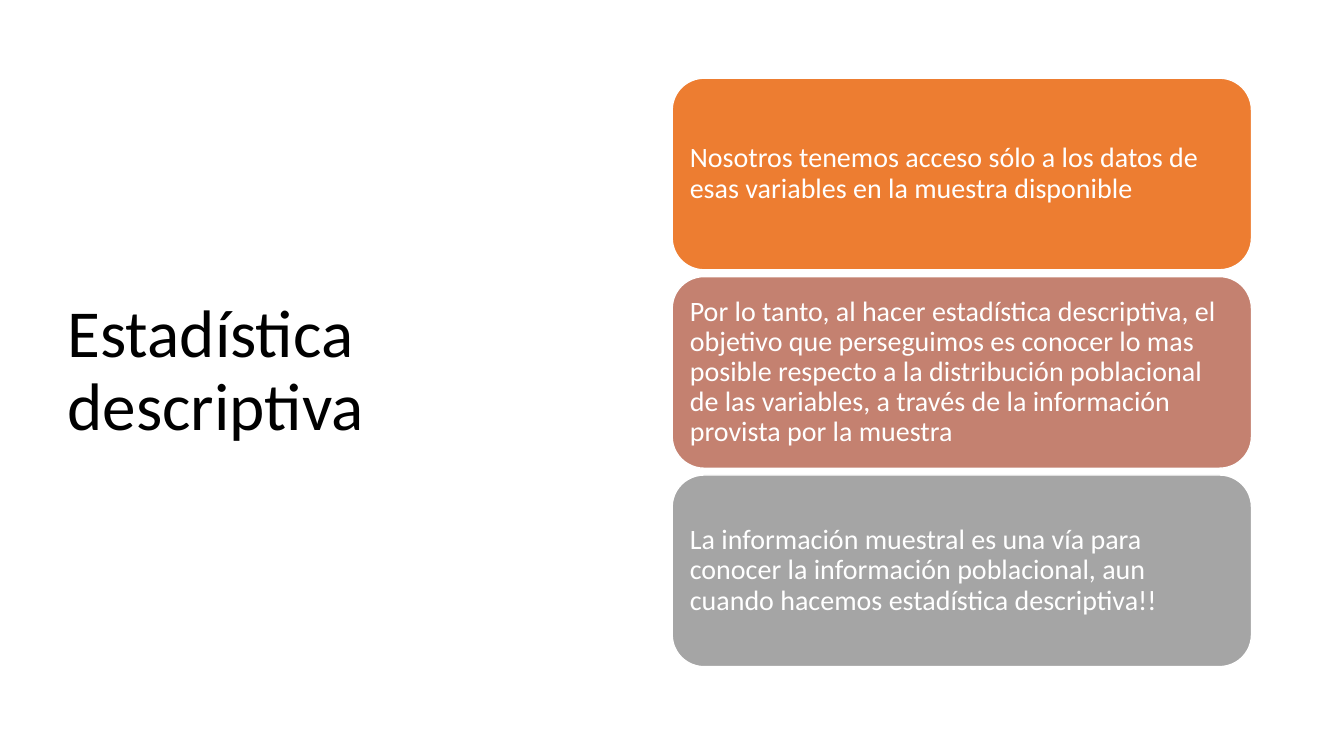
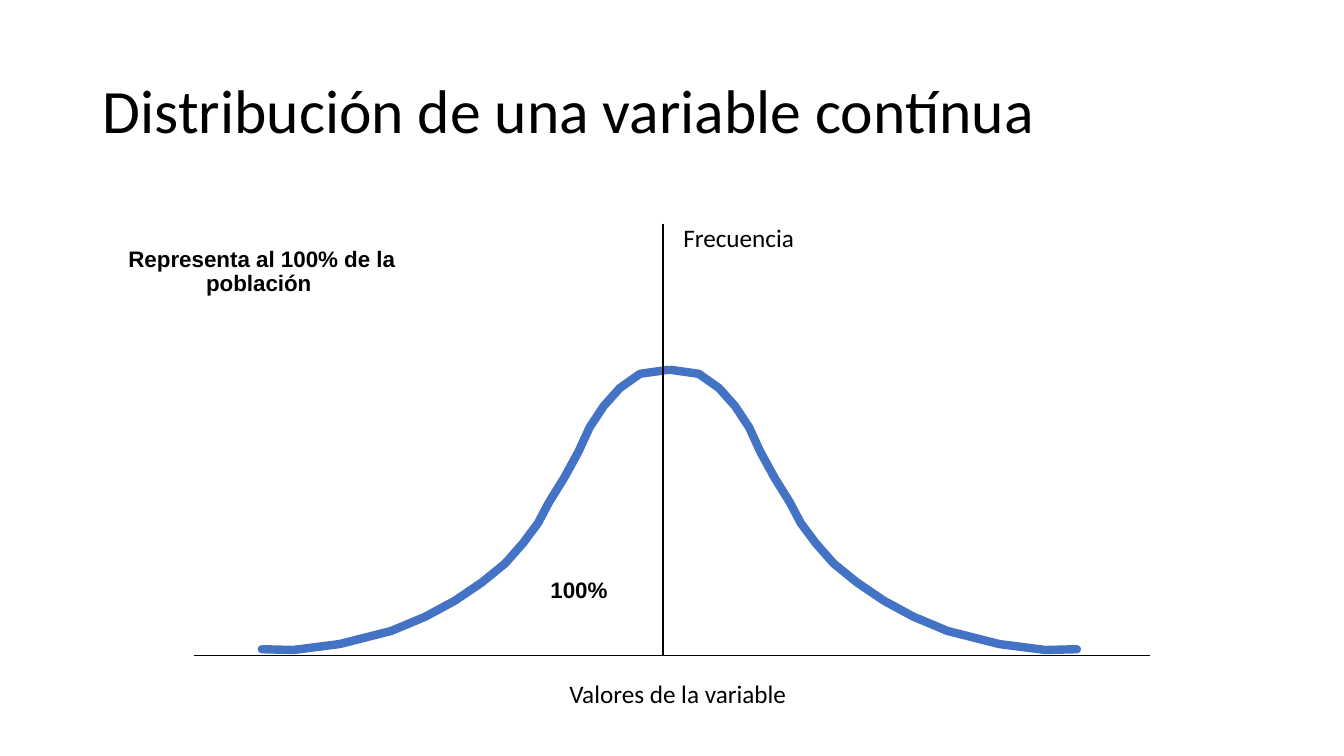
from lxml import etree
from pptx import Presentation
from pptx.dml.color import RGBColor as Rgb
from pptx.enum.shapes import MSO_CONNECTOR as Link, MSO_SHAPE as Shape
from pptx.enum.text import MSO_ANCHOR as Anchor, MSO_AUTO_SIZE as Fit, PP_ALIGN as Align
from pptx.oxml.ns import qn
from pptx.util import Cm, Pt

HUES = {
    "ink": "000000",
    "paper": "FFFFFF",
    "orange": "ED7D31",
    "rose": "C48170",
    "gray": "A5A5A5",
    "blue": "4472C4",
}
FONT = "Calibri"
BOLD = "Arial"

CARDS = [
    ("orange", "Nosotros tenemos acceso sólo a los datos de esas variables en la muestra disponible"),
    ("rose", "Por lo tanto, al hacer estadística descriptiva, el objetivo que perseguimos es conocer "
             "lo mas posible respecto a la distribución poblacional de las variables, a través de la "
             "información provista por la muestra"),
    ("gray", "La información muestral es una vía para conocer la información poblacional, aun cuando "
             "hacemos estadística descriptiva!!"),
]

CURVE = [
    (6.6, 16.36), (7.39, 16.38), (8.56, 16.23), (9.86, 15.9), (10.72, 15.54), (11.46, 15.14),
    (12.14, 14.68), (12.73, 14.2), (13.18, 13.69), (13.56, 13.18), (13.84, 12.65), (14.22, 12.04),
    (14.58, 11.38), (14.86, 10.77), (15.21, 10.24), (15.62, 9.78), (16.13, 9.42), (16.84, 9.32),
]
MID = 16.87


def tint(hue):
    return Rgb.from_string(HUES[hue])


def ink_line(line, hue, width):
    line.color.rgb = tint(hue)
    line.width = Pt(width)


def write(frame, text, size, hue="ink", font=FONT, bold=False, align=Align.LEFT, space=0.9):
    par = frame.paragraphs[0]
    par.alignment = align
    par.line_spacing = space
    run = par.add_run()
    run.text = text
    run.font.size = Pt(size)
    run.font.name = font
    run.font.bold = bold
    run.font.color.rgb = tint(hue)


def add_slide(deck, text, size, box):
    slide = deck.slides.add_slide(deck.slide_layouts[5])
    title = slide.shapes.title
    title.left, title.top, title.width, title.height = map(Cm, box)
    frame = title.text_frame
    frame.word_wrap = True
    frame.auto_size = Fit.NONE
    frame.vertical_anchor = Anchor.MIDDLE
    write(frame, text, size)
    return slide


def add_card(slide, top, hue, text):
    card = slide.shapes.add_shape(Shape.ROUNDED_RECTANGLE, Cm(16.94), Cm(top), Cm(14.6), Cm(4.83))
    card.shadow.inherit = False
    card.fill.solid()
    card.fill.fore_color.rgb = tint(hue)
    ink_line(card.line, "paper", 1)
    frame = card.text_frame
    frame.word_wrap = True
    frame.vertical_anchor = Anchor.MIDDLE
    frame.margin_left = frame.margin_right = Cm(0.21)
    frame.margin_top = frame.margin_bottom = Cm(0.21)
    write(frame, text, 20, "paper")


def add_curve(slide, points):
    spots = [(Cm(x), Cm(y)) for x, y in points]
    pen = slide.shapes.build_freeform(*spots[0])
    pen.add_line_segments(spots[1:], close=False)
    curve = pen.convert_to_shape()
    curve.shadow.inherit = False
    curve.fill.background()
    ink_line(curve.line, "blue", 6)
    stroke = curve.element.spPr.find(qn("a:ln"))
    stroke.set("cap", "rnd")
    etree.SubElement(stroke, qn("a:round"))


def add_axis(slide, *ends):
    axis = slide.shapes.add_connector(Link.STRAIGHT, *map(Cm, ends))
    ink_line(axis.line, "ink", 1)
    etree.SubElement(axis.element.spPr, qn("a:effectLst"))


def add_label(slide, text, box, size, wrap=False, **style):
    label = slide.shapes.add_textbox(*map(Cm, box))
    frame = label.text_frame
    frame.word_wrap = wrap
    frame.auto_size = Fit.SHAPE_TO_FIT_TEXT
    write(frame, text, size, **style)


def main():
    deck = Presentation()
    deck.slide_width, deck.slide_height = Cm(33.87), Cm(19.05)

    slide = add_slide(deck, "Estadística descriptiva", 48, (1.45, 1.73, 14.4, 15.29))
    for row, (hue, text) in enumerate(CARDS):
        add_card(slide, 1.97 + 5 * row, hue, text)

    slide = add_slide(deck, "Distribución de una variable contínua", 44, (2.34, 1.02, 29.21, 3.68))
    add_curve(slide, CURVE)
    add_curve(slide, [(2 * MID - x, y) for x, y in CURVE])
    add_axis(slide, 16.71, 5.64, 16.71, 16.51)
    add_axis(slide, 4.88, 16.51, 28.98, 16.51)
    strong = {"font": BOLD, "bold": True, "align": Align.CENTER}
    add_label(slide, "100%", (13.61, 14.48, 1.96, 0.86), 16, **strong)
    add_label(slide, "Representa al 100% de la población ", (2.36, 6.12, 8.48, 1.47), 16, True, **strong)
    add_label(slide, "Valores de la variable", (14.1, 16.97, 6.05, 1.02), 18, space=1.0)
    add_label(slide, "Frecuencia", (16.97, 5.49, 3.33, 1.02), 18, space=1.0)

    deck.save("out.pptx")


if __name__ == "__main__":
    main()
